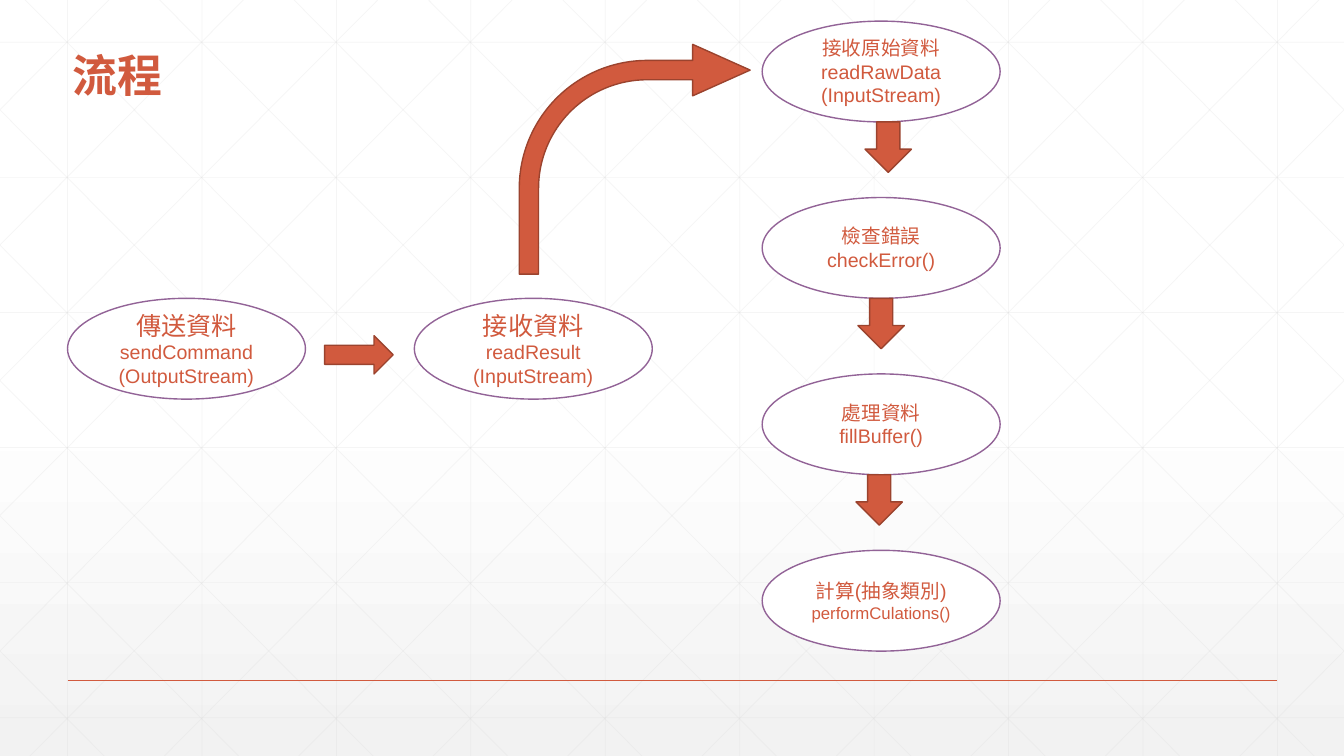
from copy import deepcopy

from lxml.etree import SubElement
from pptx import Presentation
from pptx.dml.color import RGBColor
from pptx.enum.shapes import MSO_CONNECTOR as Connector, MSO_SHAPE as Shape
from pptx.enum.text import MSO_ANCHOR as Anchor, PP_ALIGN as Align
from pptx.oxml.ns import qn
from pptx.util import Inches, Pt

WIDTH, HEIGHT = 13.33, 7.5
ORANGE, DARK_ORANGE, PURPLE = "D15A3E", "9B432E", "926397"
WHITE, PALE_GRAY, GRID_GRAY = "FFFFFF", "F2F2F2", "D9D9D9"
LATIN_FONT, CHINESE_FONT = "Arial", "Noto Sans CJK TC"

GRID_STEP = 4 / 3
NODE_WIDTH, NODE_HEIGHT = 2.36, 1
NODE_PITCH = 1.75
DOWN_WIDTH, DOWN_HEIGHT = 0.46, 0.5

# Each step: lines of (text, size)
STREAM_STEPS = [
    [("傳送資料", 18), ("sendCommand", 14), ("(OutputStream)", 14)],
    [("接收資料", 18), ("readResult", 14), ("(InputStream)", 14)],
]
PROCESS_STEPS = [
    [("接收原始資料", 14), ("readRawData", 14), ("(InputStream)", 14)],
    [("檢查錯誤", 14), ("checkError()", 14)],
    [("處理資料", 14), ("fillBuffer()", 14)],
    [("計算(抽象類別)", 14), ("performCulations()", 12)],
]
# Left edges of the arrows between process steps, from the column's left edge
DOWN_OFFSETS = [1.02, 0.95, 0.93]


def color(value):
    return RGBColor.from_string(value)


def add_line(page, start, end, stroke, width, opacity=None):
    line = page.shapes.add_connector(
        Connector.STRAIGHT, *[Inches(value) for value in (*start, *end)])
    line.line.color.rgb = color(stroke)
    line.line.width = Pt(width)
    properties = line._element.spPr
    if opacity is not None:
        shade = properties.find(".//" + qn("a:srgbClr"))
        SubElement(shade, qn("a:alpha"), val=str(opacity * 1000))
    SubElement(properties, qn("a:effectLst"))


def add_solid(page, kind, box, fill, stroke):
    shape = page.shapes.add_shape(kind, *[Inches(value) for value in box])
    shape.shadow.inherit = False
    shape.fill.solid()
    shape.fill.fore_color.rgb = color(fill)
    shape.line.color.rgb = color(stroke)
    shape.line.width = Pt(1)
    return shape


def add_span(para, text, **formats):
    span = para.add_run()
    span.text = text
    for name, value in formats.items():
        setattr(span.font, name, value)
    span.font.color.rgb = color(ORANGE)
    SubElement(span._r.get_or_add_rPr(), qn("a:ea"), typeface=CHINESE_FONT)


def add_arrow(page, kind, box):
    return add_solid(page, kind, box, ORANGE, DARK_ORANGE)


def add_node(page, left, top, lines):
    node = add_solid(page, Shape.OVAL, (left, top, NODE_WIDTH, NODE_HEIGHT),
                     WHITE, PURPLE)
    frame = node.text_frame
    frame.word_wrap = True
    frame.vertical_anchor = Anchor.MIDDLE
    for index, (text, size) in enumerate(lines):
        para = frame.add_paragraph() if index else frame.paragraphs[0]
        para.alignment = Align.CENTER
        add_span(para, text, name=LATIN_FONT, size=Pt(size))


def add_background(page):
    fill = page.background.fill
    fill.gradient()
    fill.gradient_angle = 270
    first, last = fill.gradient_stops
    first.color.rgb, first.position = color(WHITE), 0
    last.color.rgb, last.position = color(PALE_GRAY), 1
    # A second white stop holds the upper half plain
    middle = deepcopy(first._gs)
    middle.set("pos", "53000")
    first._gs.addnext(middle)


def add_grid(page):
    def grid_line(start, end):
        add_line(page, start, end, GRID_GRAY, 0.5, opacity=25)

    for column in range(10):
        x = 0.67 + column * GRID_STEP
        grid_line((x, 0), (x, HEIGHT))
    for row in range(6):
        y = 0.42 + row * 1.34
        grid_line((0, y), (WIDTH, y))
    # Diagonals, cut at the slide edges, each with its mirror
    run = 7.45
    for index in range(-5, 10):
        x = 0.25 + index * GRID_STEP
        left, right = max(x, 0), min(x + run, WIDTH)
        top, bottom = [(edge - x) * HEIGHT / run for edge in (left, right)]
        grid_line((left, top), (right, bottom))
        grid_line((WIDTH - left, top), (WIDTH - right, bottom))


def add_title(page, box, text):
    title = page.shapes.add_textbox(*[Inches(value) for value in box])
    frame = title.text_frame
    frame.word_wrap = True
    frame.vertical_anchor = Anchor.BOTTOM
    para = frame.paragraphs[0]
    para.line_spacing = 0.9
    add_span(para, text, name=CHINESE_FONT, size=Pt(32), bold=True)


def add_stream_row(page, left, top):
    for index, lines in enumerate(STREAM_STEPS):
        add_node(page, left + index * 3.44, top, lines)
    add_arrow(page, Shape.RIGHT_ARROW, (left + 2.55, top + 0.37, 0.68, 0.38))


def add_process_column(page, left, top):
    for index, lines in enumerate(PROCESS_STEPS):
        add_node(page, left, top + index * NODE_PITCH, lines)
    for index, offset in enumerate(DOWN_OFFSETS):
        arrow_top = top + index * NODE_PITCH + NODE_HEIGHT
        add_arrow(page, Shape.DOWN_ARROW,
                  (left + offset, arrow_top, DOWN_WIDTH, DOWN_HEIGHT))


def add_bent_arrow(page, box):
    arrow = add_arrow(page, Shape.BENT_ARROW, box)
    for index, value in enumerate((0.084, 0.112, 0.25, 0.557)):
        arrow.adjustments[index] = value


def main():
    deck = Presentation()
    deck.slide_width, deck.slide_height = Inches(WIDTH), Inches(HEIGHT)
    page = deck.slides.add_slide(deck.slide_layouts[6])

    # Backdrop
    add_background(page)
    add_grid(page)
    add_line(page, (0.67, 6.75), (12.67, 6.75), ORANGE, 1)

    # Flow
    add_title(page, (0.62, 0.44, 1.45, 0.62), "流程")
    add_stream_row(page, 0.67, 2.96)
    add_process_column(page, 7.56, 0.21)
    add_bent_arrow(page, (5.15, 0.44, 2.29, 2.28))

    deck.save("out.pptx")


if __name__ == "__main__":
    main()
